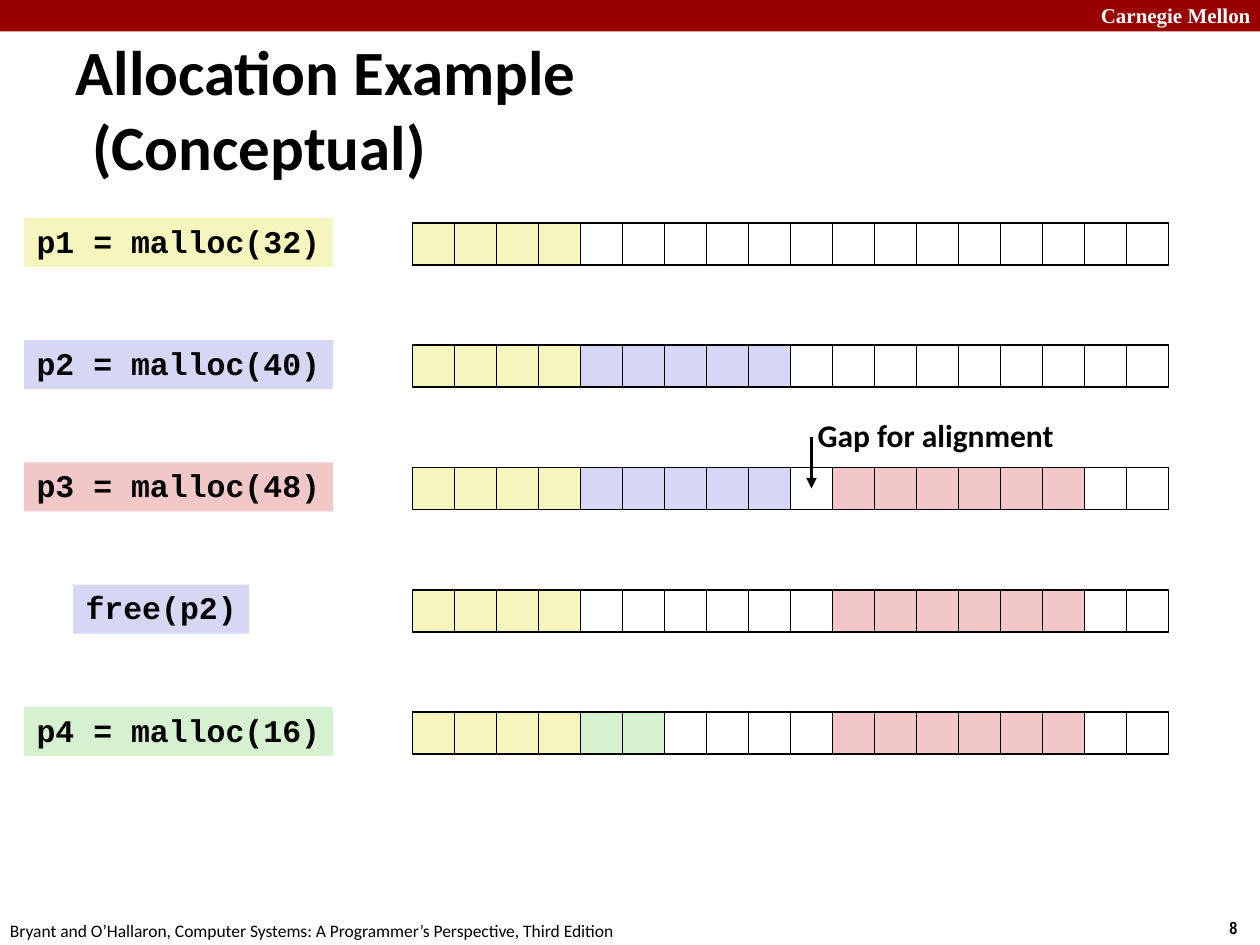
from lxml import etree
from pptx import Presentation
from pptx import util as u
from pptx.dml import color
from pptx.enum import shapes, text
from pptx.oxml import ns

Pt = u.Pt
YELLOW, BLUE, RED, GREEN, WHITE = "F6F5BD", "D6D6F5", "F1C7C7", "D5F1CF", "FFFFFF"
BLACK, CRIMSON = "000000", "990000"
CELL, ROW_PITCH = 24, 69.85
HEAP_LEFT, HEAP_TOP = 235.7, 127.4
GAP_INDEX = 9
P1, P3 = [(YELLOW, 4)], [(None, 1), (RED, 6), (WHITE, 2)]
STEPS = [
    ("p1 = malloc(32)", YELLOW, 13.8, P1 + [(WHITE, 14)]),
    ("p2 = malloc(40)", BLUE, 13.8, P1 + [(BLUE, 5), (WHITE, 9)]),
    ("p3 = malloc(48)", RED, 13.8, P1 + [(BLUE, 5)] + P3),
    ("free(p2)", BLUE, 41.8, P1 + [(WHITE, 5)] + P3),
    ("p4 = malloc(16)", GREEN, 13.8, P1 + [(GREEN, 2), (WHITE, 3)] + P3),
]


def rgb(hex_string):
    """Return the colour for a hex string."""
    return color.RGBColor.from_string(hex_string)


def add_run(paragraph, wording, size, font, ink=BLACK, bold=True):
    """Append one formatted run to a paragraph."""
    run = paragraph.add_run()
    run.text = wording
    run.font.size, run.font.name, run.font.bold = Pt(size), font, bold
    run.font.color.rgb = rgb(ink)


def add_rect(parent, box, fill, outlined=False):
    """Add a flat rectangle; a fill of None leaves it clear."""
    rect = parent.add_shape(shapes.MSO_SHAPE.RECTANGLE, *map(Pt, box))
    rect.shadow.inherit = False
    if fill:
        rect.fill.solid()
        rect.fill.fore_color.rgb = rgb(fill)
    else:
        rect.fill.background()
    if outlined:
        rect.line.color.rgb = rgb(BLACK)
        rect.line.width = Pt(1)
    else:
        rect.line.fill.background()
    return rect


def add_caption(slide, box, wording, size, font, ink=BLACK, bold=True):
    """Add one line of text in a plain box."""
    frame = slide.shapes.add_textbox(*map(Pt, box)).text_frame
    frame.word_wrap = False
    add_run(frame.paragraphs[0], wording, size, font, ink, bold)


def add_page_frame(slide, width, height):
    """Place the top band and the footer on a page of the given size."""
    add_rect(slide.shapes, (0, 0, width, 18), CRIMSON)
    add_caption(slide, (width - 98, -2.2, 103, 21.6), "Carnegie Mellon", 12, "Times New Roman", WHITE)
    add_caption(slide, (width - 24.5, height - 19.4, 24.5, 19.4), "8", 10, "Arial Narrow")
    citation = "Bryant and O’Hallaron, Computer Systems: A Programmer’s Perspective, Third Edition"
    add_caption(slide, (-1.4, height - 18, 365.8, 19.4), citation, 10, "Calibri", bold=False)


def add_title(slide, box):
    """Fill the title placeholder with two lines, the second one indented."""
    title = slide.shapes.title
    title.left, title.top, title.width, title.height = map(Pt, box)
    frame = title.text_frame
    frame.word_wrap = True
    frame.auto_size = text.MSO_AUTO_SIZE.NONE
    frame.vertical_anchor = text.MSO_ANCHOR.MIDDLE
    heading = frame.paragraphs[0]
    heading.alignment = text.PP_ALIGN.LEFT
    properties = heading._p.get_or_add_pPr()
    properties.set("marL", str(Pt(9.4)))
    properties.set("indent", str(Pt(-9.4)))
    add_run(heading, "Allocation Example", 36, "Calibri")
    heading.add_line_break()
    add_run(heading, "(Conceptual)", 36, "Calibri")


def add_call(slide, left, top, code, fill):
    """Place a code label whose width follows from its character count."""
    call = add_rect(slide.shapes, (left, top, 10.8 * len(code) + 14.4, 28), fill)
    frame = call.text_frame
    frame.word_wrap = False
    frame.vertical_anchor = text.MSO_ANCHOR.MIDDLE
    line = frame.paragraphs[0]
    line.alignment = text.PP_ALIGN.LEFT
    line.line_spacing = 0.94
    add_run(line, code, 18, "Courier New")


def add_heap(slide, left, top, blocks):
    """Place one row of memory cells as a group."""
    heap = slide.shapes.add_group_shape()
    fills = [fill for fill, count in blocks for _ in range(count)]
    for index, fill in enumerate(fills):
        add_rect(heap.shapes, (left + index * CELL, top, CELL, CELL), fill, outlined=True)


def add_gap_note(slide, x, y):
    """Point an arrow at the centre of the gap cell and label it."""
    arrow = slide.shapes.add_connector(
        shapes.MSO_CONNECTOR.STRAIGHT, Pt(x), Pt(y - 29.5), Pt(x), Pt(y))
    arrow.line.color.rgb = rgb(BLACK)
    arrow.line.width = Pt(2)
    etree.SubElement(arrow.line._get_or_add_ln(), ns.qn("a:tailEnd"), type="triangle")
    etree.SubElement(arrow._element.spPr, ns.qn("a:effectLst"))
    add_caption(slide, (x - 3.6, y - 44.8, 150.5, 28.8), "Gap for alignment", 18, "Calibri")


def main():
    """Build the allocation example slide."""
    deck = Presentation()
    deck.slide_width, deck.slide_height = Pt(720), Pt(540)
    slide = deck.slides.add_slide(deck.slide_layouts[5])
    add_page_frame(slide, 720, 540)
    add_title(slide, (36, 38.9, 509, 45.4))
    for row, (code, fill, left, blocks) in enumerate(STEPS):
        top = HEAP_TOP + row * ROW_PITCH
        add_call(slide, left, top - 2.8, code, fill)
        add_heap(slide, HEAP_LEFT, top, blocks)
    add_gap_note(slide, HEAP_LEFT + (GAP_INDEX + 0.5) * CELL, HEAP_TOP + 2 * ROW_PITCH + CELL / 2)
    deck.save("out.pptx")


if __name__ == "__main__":
    main()
